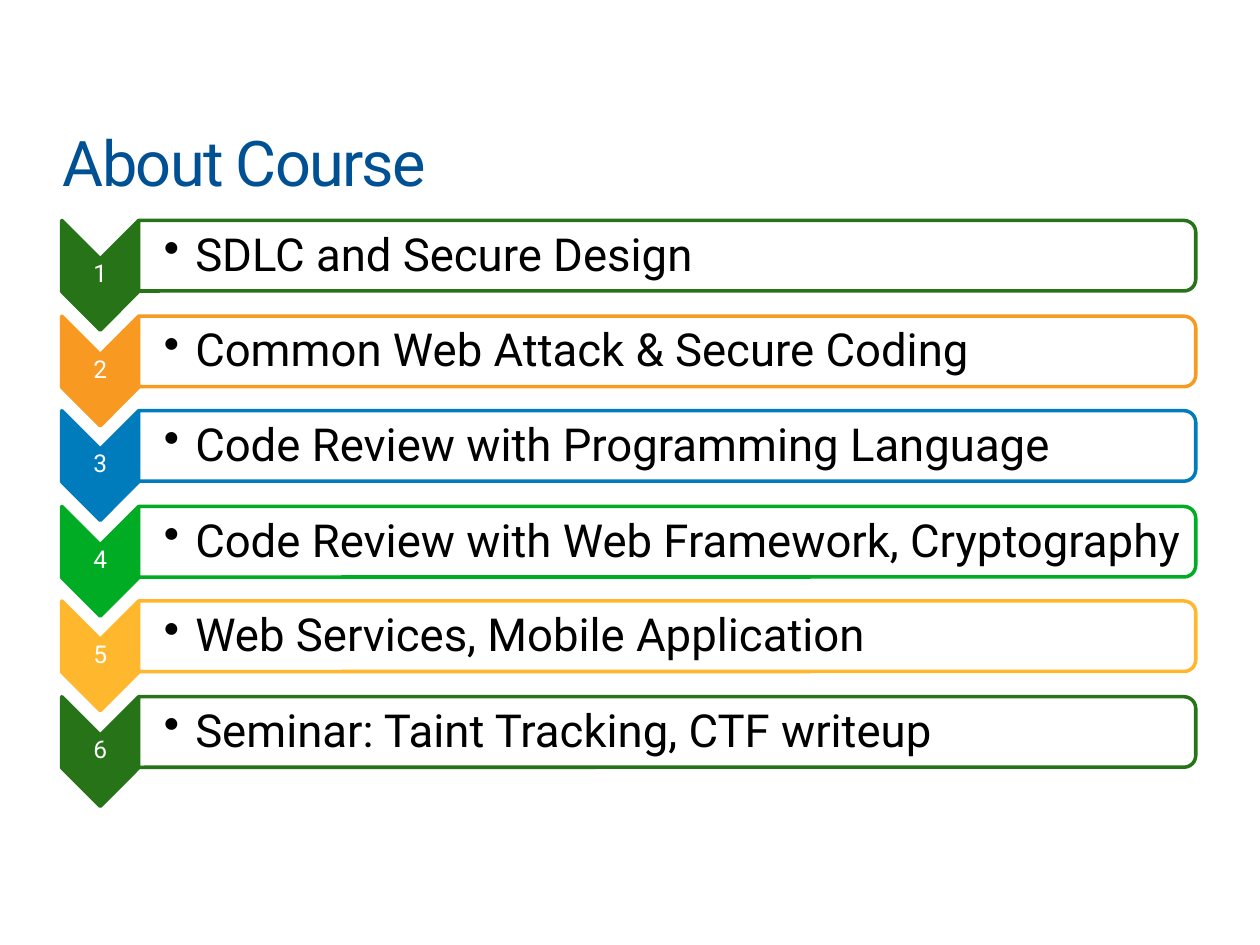
from dataclasses import dataclass

from lxml import etree
from pptx import Presentation
from pptx import util as u
from pptx.dml.color import RGBColor
from pptx.enum import shapes, text
from pptx.oxml.ns import qn

PX = 9144
FONT = "Roboto"
NAVY = RGBColor(0x00, 0x51, 0x94)
GREEN = RGBColor(0x27, 0x73, 0x18)
ORANGE = RGBColor(0xF8, 0x9A, 0x21)
BLUE = RGBColor(0x00, 0x7C, 0xBD)
LIME = RGBColor(0x00, 0xAC, 0x24)
AMBER = RGBColor(0xFF, 0xB8, 0x2E)
WHITE = RGBColor(0xFF, 0xFF, 0xFF)
BLACK = RGBColor(0x00, 0x00, 0x00)

FIRST_TOP = 175
ROWS_SPAN = 378


@dataclass(frozen=True)
class Topic:
    title: str
    color: RGBColor


@dataclass(frozen=True)
class Area:
    left: int
    top: int
    width: int
    height: int

    def emu(self) -> list[u.Emu]:
        return [u.Emu(n * PX) for n in (self.left, self.top, self.width, self.height)]


TOPICS = [
    Topic("SDLC and Secure Design", GREEN),
    Topic("Common Web Attack & Secure Coding", ORANGE),
    Topic("Code Review with Programming Language", BLUE),
    Topic("Code Review with Web Framework, Cryptography", LIME),
    Topic("Web Services, Mobile Application", AMBER),
    Topic("Seminar: Taint Tracking, CTF writeup", GREEN),
]


def add_text(page, area: Area, content: str, *, size: int, color: RGBColor,
             align=text.PP_ALIGN.LEFT, anchor=text.MSO_ANCHOR.MIDDLE,
             left_inset: int = 0, inset: int = 0, line_spacing: float = 0.9,
             bullet_indent: int = 0, tracking: int = 0) -> None:
    box = page.shapes.add_textbox(*area.emu())
    frame = box.text_frame
    frame.word_wrap = True
    frame.vertical_anchor = anchor
    frame.margin_left = u.Emu((left_inset or inset) * PX)
    frame.margin_top = frame.margin_right = frame.margin_bottom = u.Emu(inset * PX)
    para = frame.paragraphs[0]
    para.alignment = align
    para.line_spacing = line_spacing
    if bullet_indent:
        properties = para._p.get_or_add_pPr()
        properties.set("marL", str(bullet_indent * PX))
        properties.set("indent", str(-bullet_indent * PX))
        etree.SubElement(properties, qn("a:buChar"), char="•")
    span = para.add_run()
    span.text = content
    span.font.name = FONT
    span.font.size = u.Pt(size)
    span.font.color.rgb = color
    if tracking:
        span.font._element.set("spc", str(tracking * 100))


def add_turned_shape(page, kind, seen: Area, fill: RGBColor, line: RGBColor,
                     opacity: int = 100) -> None:
    left, top, width, height = seen.emu()
    shift = (width - height) // 2
    shape = page.shapes.add_shape(kind, left + shift, top - shift, height, width)
    shape.rotation = 90
    shape.shadow.inherit = False
    shape.fill.solid()
    shape.fill.fore_color.rgb = fill
    if opacity < 100:
        color = shape._element.spPr.find(qn("a:solidFill"))[0]
        etree.SubElement(color, qn("a:alpha"), val=str(opacity * 1000))
    shape.line.color.rgb = line
    shape.line.width = u.Pt(2)


def add_topic(page, number: int, topic: Topic, top: int) -> None:
    add_turned_shape(page, shapes.MSO_SHAPE.CHEVRON, Area(49, top, 61, 87),
                     topic.color, topic.color)
    add_text(page, Area(49, top + 30, 61, 26), str(number), size=14, color=WHITE,
             align=text.PP_ALIGN.CENTER, inset=1)
    add_turned_shape(page, shapes.MSO_SHAPE.ROUND_2_SAME_RECTANGLE,
                     Area(110, top, 839, 56), WHITE, topic.color, opacity=90)
    add_text(page, Area(110, top + 3, 837, 51), topic.title, size=26, color=BLACK,
             left_inset=20, inset=2, bullet_indent=25)


def main() -> None:
    deck = Presentation()
    deck.slide_width = u.Emu(1000 * PX)
    deck.slide_height = u.Emu(750 * PX)
    page = deck.slides.add_slide(deck.slide_layouts[6])
    add_text(page, Area(50, 98, 900, 61), "About Course", size=36, color=NAVY,
             anchor=text.MSO_ANCHOR.TOP, line_spacing=1.0, tracking=-1)
    for index, topic in enumerate(TOPICS):
        top = FIRST_TOP + round(ROWS_SPAN * index / (len(TOPICS) - 1))
        add_topic(page, index + 1, topic, top)
    deck.save("out.pptx")


if __name__ == "__main__":
    main()
